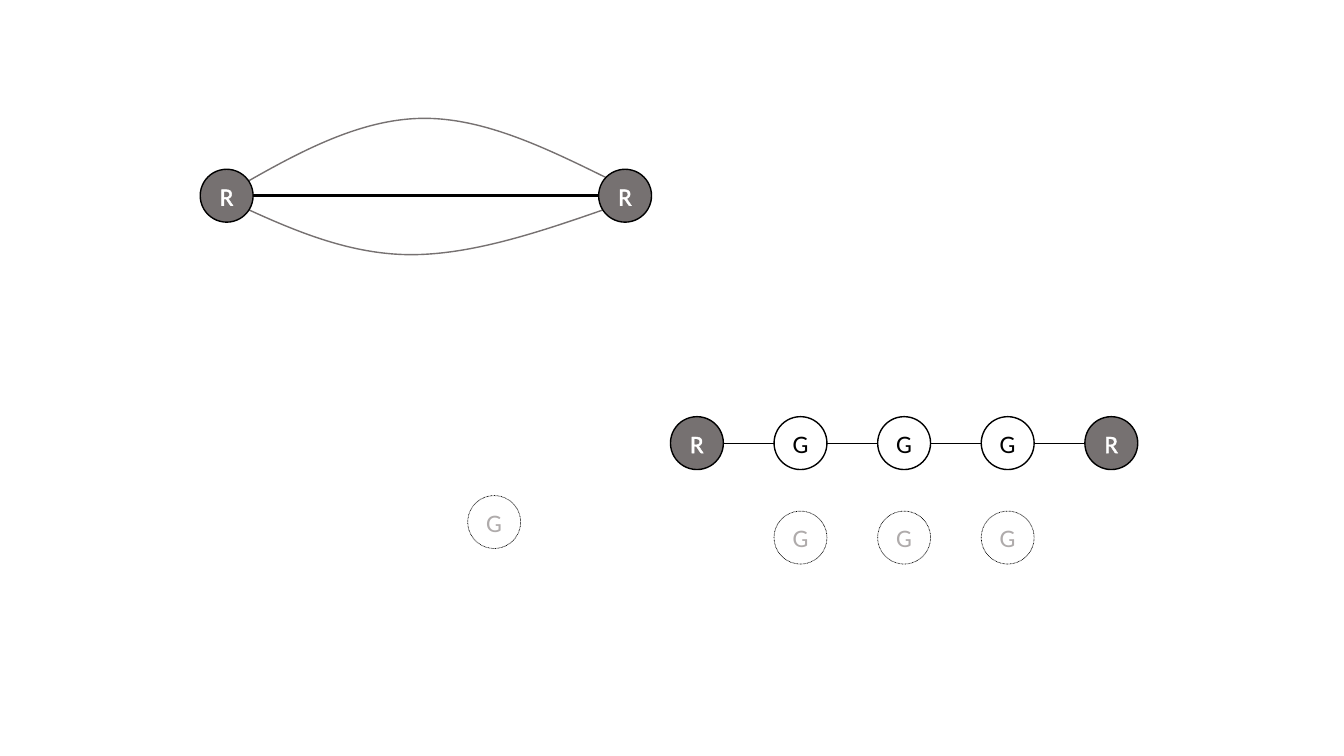
from lxml import etree
from pptx import Presentation
from pptx.dml.color import RGBColor
from pptx.enum.dml import MSO_LINE
from pptx.enum.shapes import MSO_CONNECTOR, MSO_SHAPE
from pptx.enum.text import MSO_ANCHOR, PP_ALIGN
from pptx.oxml import parse_xml
from pptx.oxml.ns import nsdecls, qn
from pptx.util import Pt

OVAL = MSO_SHAPE.OVAL
STRAIGHT = MSO_CONNECTOR.STRAIGHT
DOTS = MSO_LINE.ROUND_DOT
MIDDLE = MSO_ANCHOR.MIDDLE
CENTER = PP_ALIGN.CENTER

BLACK, WHITE, GREY, PALE = "000000", "FFFFFF", "767171", "AFABAB"
SIZE = 37.8  # node diameter
HALF = SIZE / 2


def color(text):
    return RGBColor.from_string(text)


class Graph:
    """Draws nodes and edges on one slide."""

    font, points = "Calibri", 18

    def __init__(self, slide):
        self.shapes = slide.shapes

    def stroke(self, line, tint, width):
        line.color.rgb = color(tint)
        line.width = Pt(width)

    def node(self, x, y, label, fill, ink, width=1):
        """Add a labelled circle centred on x, y."""
        oval = self.shapes.add_shape(
            OVAL, Pt(x - HALF), Pt(y - HALF), Pt(SIZE), Pt(SIZE))
        oval.shadow.inherit = False
        oval.fill.solid()
        oval.fill.fore_color.rgb = color(fill)
        self.stroke(oval.line, BLACK, width)
        frame = oval.text_frame
        frame.margin_left = frame.margin_right = 0
        frame.margin_top = frame.margin_bottom = 0
        frame.vertical_anchor = MIDDLE
        frame.text = label
        para = frame.paragraphs[0]
        para.alignment = CENTER
        font = para.runs[0].font
        font.name, font.size = self.font, Pt(self.points)
        font.color.rgb = color(ink)
        return oval

    def red(self, x, y):
        """Add a dark R node with an outlined letter."""
        oval = self.node(x, y, "R", GREY, WHITE)
        for props in oval.element.iter(qn("a:rPr")):
            props.insert(0, parse_xml(
                f'<a:ln {nsdecls("a")} w="{Pt(0.75)}"><a:solidFill>'
                f'<a:srgbClr val="{WHITE}"/></a:solidFill></a:ln>'))

    def green(self, x, y):
        self.node(x, y, "G", WHITE, BLACK)

    def ghost(self, x, y):
        """Add a dotted, pale G node."""
        oval = self.node(x, y, "G", WHITE, PALE, 0.5)
        oval.line.dash_style = DOTS

    def edge(self, left, right, y, width):
        """Join the rims of two nodes centred on left and right."""
        link = self.shapes.add_connector(
            STRAIGHT, Pt(left + HALF), Pt(y), Pt(right - HALF), Pt(y))
        self.stroke(link.line, BLACK, width)
        etree.SubElement(link.element.spPr, qn("a:effectLst"))

    def curve(self, start, *points):
        """Add a Bezier path; every three points make one segment."""
        pen = self.shapes.build_freeform(Pt(start[0]), Pt(start[1]))
        pen.add_line_segments([(Pt(x), Pt(y)) for x, y in points], close=False)
        shape = pen.convert_to_shape()
        steps = list(shape.element.iter(qn("a:lnTo")))
        for i in range(0, len(steps), 3):
            bend = etree.Element(qn("a:cubicBezTo"))
            steps[i].addprevious(bend)
            for step in steps[i:i + 3]:
                bend.append(step[0])
                step.getparent().remove(step)
        shape.shadow.inherit = False
        shape.fill.background()
        self.stroke(shape.line, GREY, 1)


def main():
    deck = Presentation()
    deck.slide_width, deck.slide_height = Pt(960), Pt(540)
    graph = Graph(deck.slides.add_slide(deck.slide_layouts[6]))

    # Chain of five nodes with three spare nodes below
    row, spare = 316.5, 384
    chain = [497.8 + 74 * i for i in range(5)]
    for left, right in zip(chain, chain[1:]):
        graph.edge(left, right, row, 0.5)
    for x in chain[1:-1]:
        graph.ghost(x, spare)
        graph.green(x, row)
    for x in (chain[0], chain[-1]):
        graph.red(x, row)

    # Pair joined by one straight and two curved edges
    first, last, top = 161.9, 446.5, 139.8
    graph.edge(first, last, top, 2)
    graph.curve((162, 138.2), (208, 111.6), (253.4, 85.7), (300.2, 84.6),
                (346.3, 83.5), (393.1, 107.3), (439.9, 130.3))
    graph.curve((162, 142.6), (203.8, 162), (245.5, 181.4), (292.3, 181.9),
                (339.8, 182.2), (392.4, 163.4), (445.7, 144.7))
    for x in (first, last):
        graph.red(x, top)

    graph.ghost(353, 372.9)
    deck.save("out.pptx")


if __name__ == "__main__":
    main()
